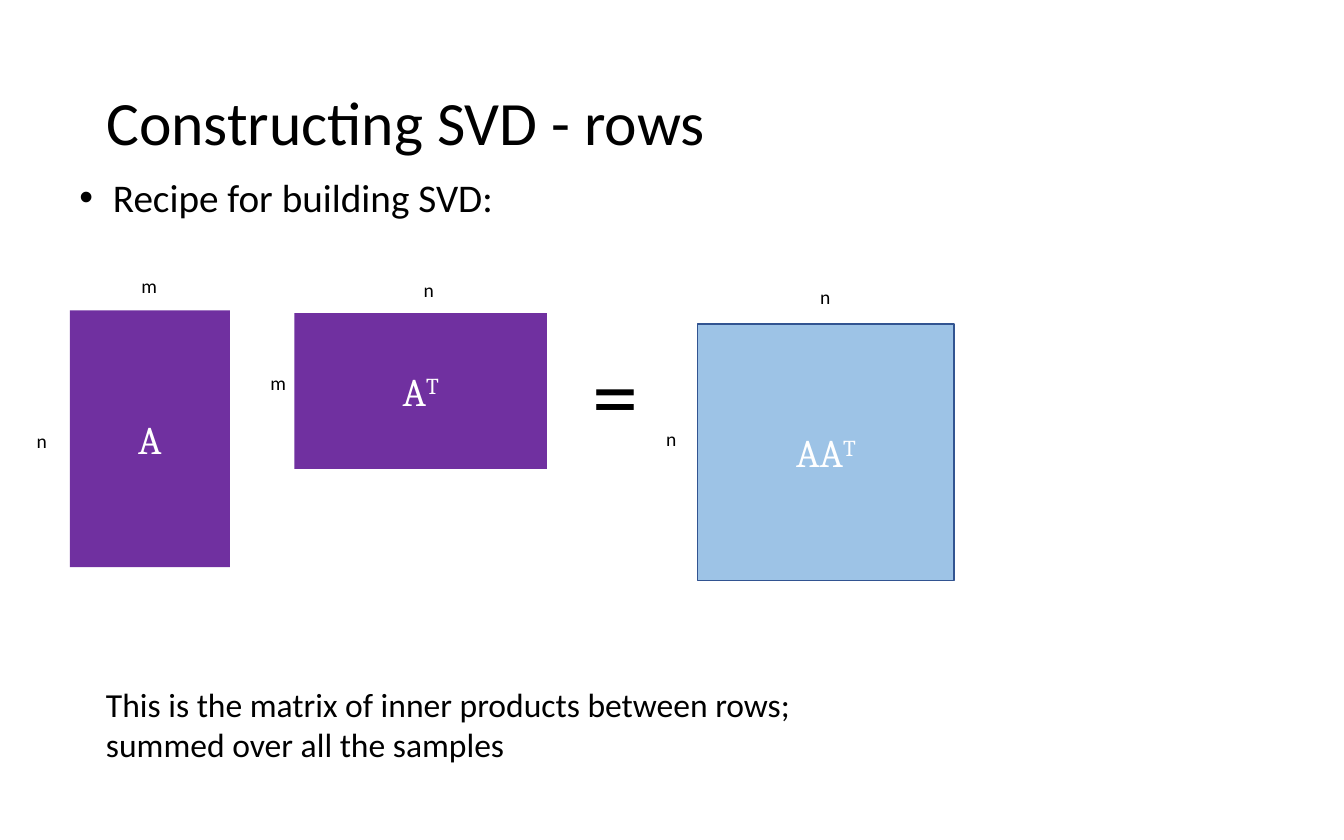
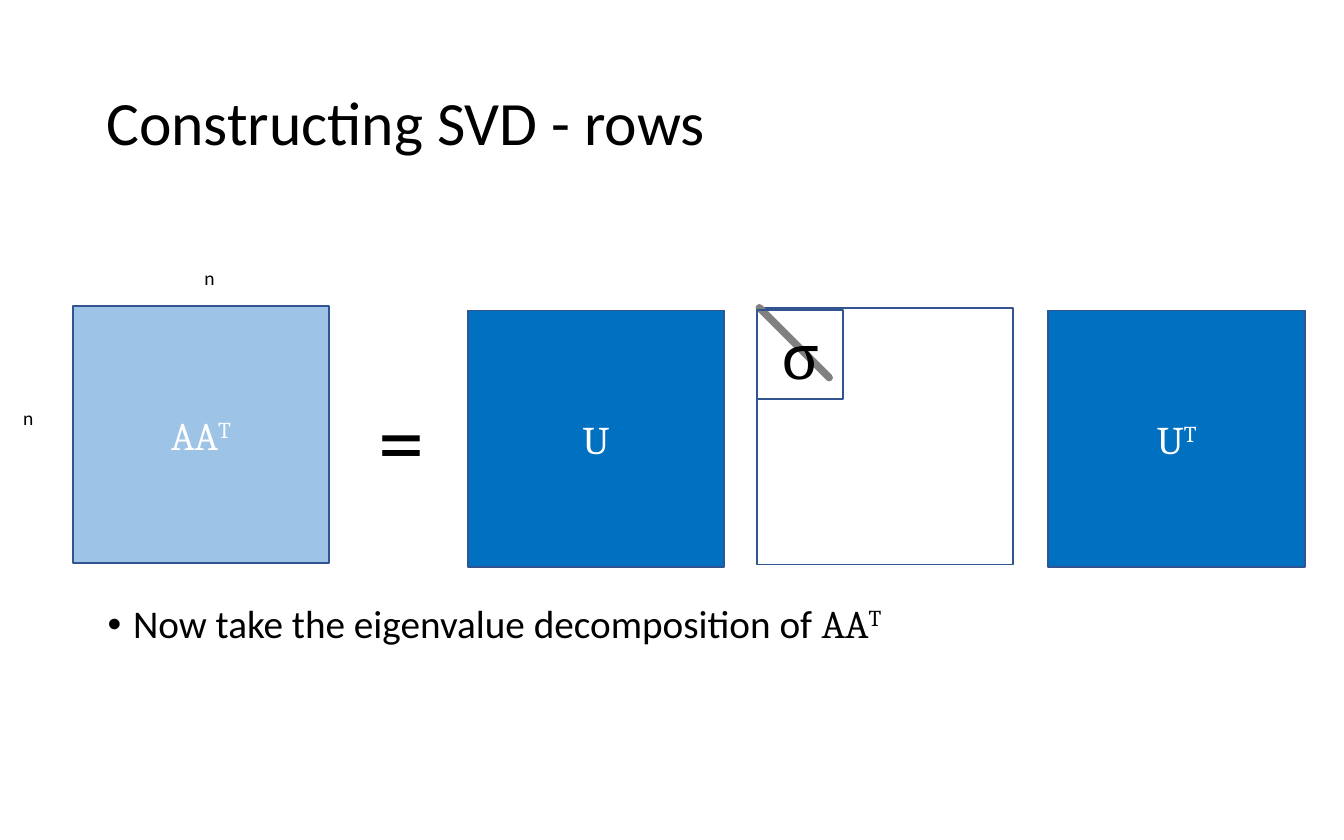
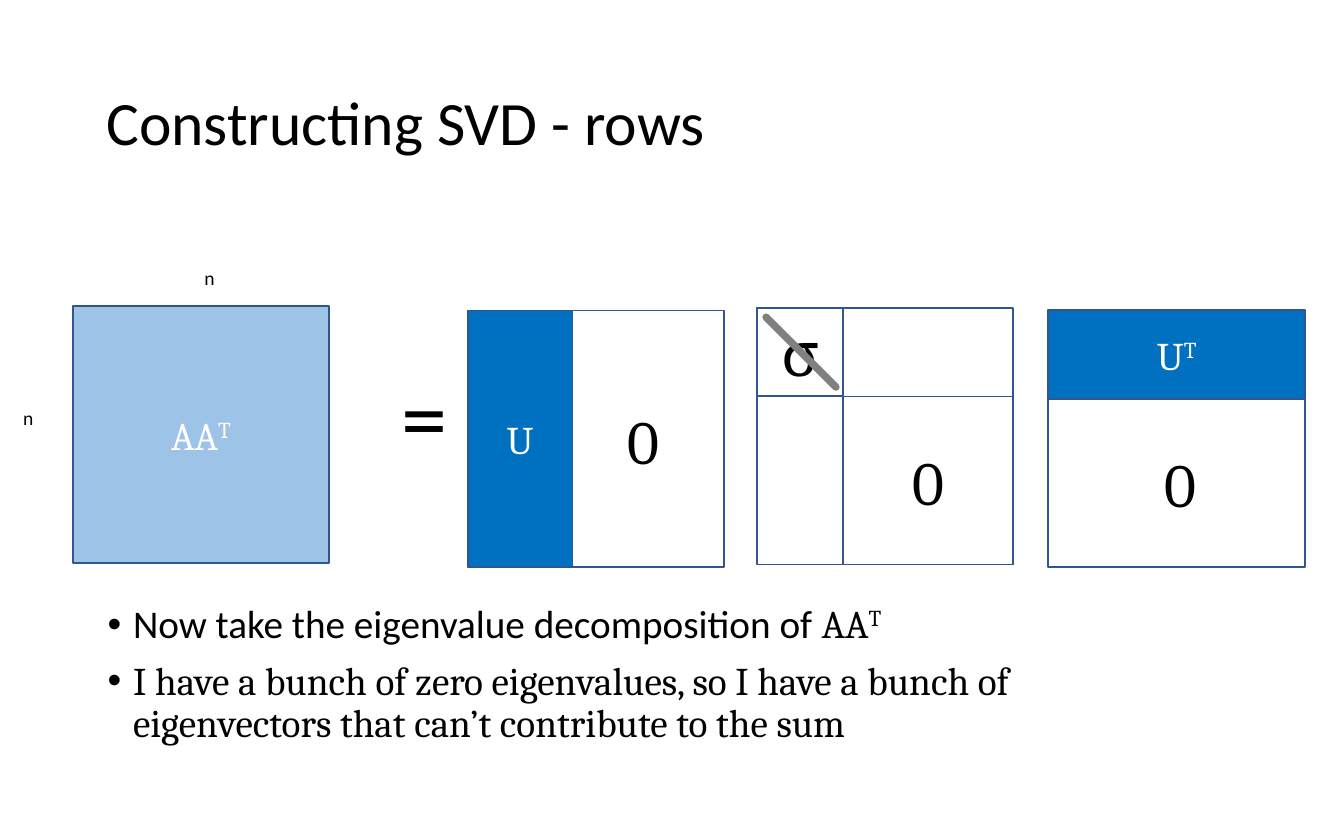
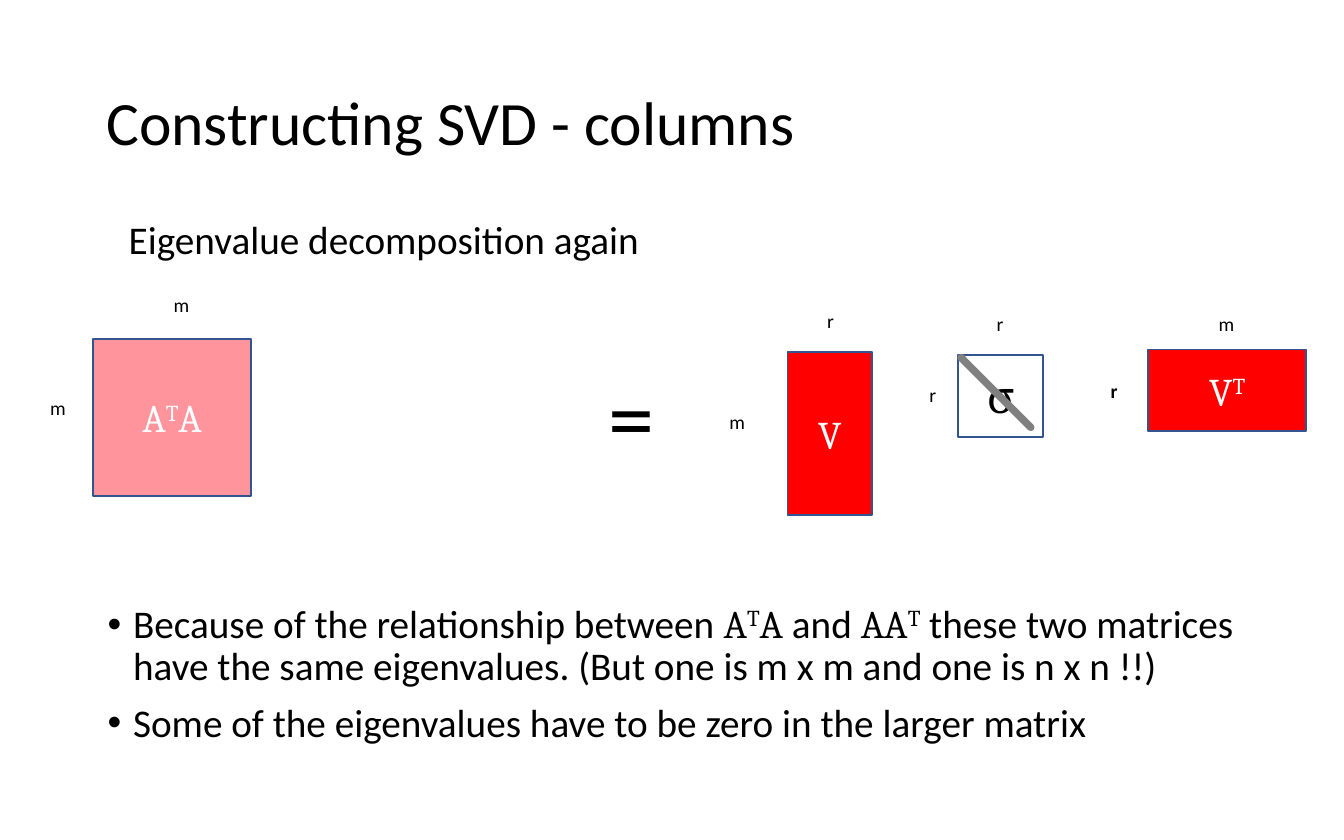
import dataclasses
import typing

import lxml.etree
import pptx
import pptx.dml.color
import pptx.enum.shapes
import pptx.enum.text
import pptx.oxml.ns
import pptx.presentation
import pptx.slide
import pptx.text.text
import pptx.util

ALIGN = pptx.enum.text.PP_ALIGN
ANCHOR = pptx.enum.text.MSO_ANCHOR
FIT = pptx.enum.text.MSO_AUTO_SIZE

WIDTH = pptx.util.Inches(10)
HEIGHT = pptx.util.Inches(6.25)
COLUMNS = 100
CELL = WIDTH // COLUMNS


@dataclasses.dataclass(frozen=True)
class Theme:
    prose: str = "Calibri"
    math: str = "Cambria"
    ink: str = "000000"
    paper: str = "FFFFFF"
    outline: str = "325491"
    diagonal: str = "808080"
    data: str = "7030A0"
    row_products: str = "9DC3E6"
    row_vectors: str = "0070C0"
    column_products: str = "FF949C"
    column_vectors: str = "FF0000"
    title_size: float = 33
    body_size: float = 21
    note_size: float = 18
    dimension_size: float = 10.5
    equals_size: float = 49.5
    value_size: float = 33
    small_value_size: float = 24


THEME = Theme()


class Span(typing.NamedTuple):
    text: str
    math: bool = False
    raised: bool = False


Spans = tuple[Span, ...]


class Area(typing.NamedTuple):
    left: float
    top: float
    width: float
    height: float


@dataclasses.dataclass(frozen=True)
class Matrix:
    area: Area
    symbol: Spans = ()
    fill: str | None = None
    outlined: bool = True
    ink: str = THEME.paper
    size: float = THEME.body_size


@dataclasses.dataclass(frozen=True)
class Caption:
    text: str
    area: Area
    size: float = THEME.dimension_size
    align: ALIGN = ALIGN.CENTER
    bold: bool = False
    wrap: bool = False


@dataclasses.dataclass(frozen=True)
class Diagonal:
    left: float
    top: float
    reach: float = 5.2


@dataclasses.dataclass(frozen=True)
class Bullets:
    points: tuple[Spans, ...]
    area: Area = Area(7, 44.5, 76.1, 13.5)
    inset: tuple[float, float] = (1, 0.5)
    indent: float = 1.9
    spacing: float = 0.9


Term = Matrix | Caption | Diagonal


@dataclasses.dataclass(frozen=True)
class Page:
    title: str
    bullets: Bullets
    equation: tuple[Term, ...]


def cells(count: float) -> int:
    return round(count * CELL)


def rgb(code: str) -> pptx.dml.color.RGBColor:
    return pptx.dml.color.RGBColor.from_string(code)


def write(
    frame: pptx.text.text.TextFrame,
    paragraphs: typing.Sequence[Spans],
    *,
    size: float,
    color: str = THEME.ink,
    align: ALIGN = ALIGN.LEFT,
    anchor: ANCHOR = ANCHOR.TOP,
    bold: bool = False,
    wrap: bool = True,
    fit: FIT = FIT.NONE,
    inset: tuple[float, float] = (1, 0.5),
    spacing: float = 1.0,
    space_before: float = 0,
    indent: float = 0,
) -> None:
    frame.word_wrap = wrap
    frame.auto_size = fit
    frame.vertical_anchor = anchor
    frame.margin_left = frame.margin_right = cells(inset[0])
    frame.margin_top = frame.margin_bottom = cells(inset[1])
    for index, spans in enumerate(paragraphs):
        paragraph = frame.add_paragraph() if index else frame.paragraphs[0]
        paragraph.alignment = align
        paragraph.line_spacing = spacing
        paragraph.space_before = pptx.util.Pt(space_before if index else 0)
        if indent:
            properties = paragraph._p.get_or_add_pPr()
            properties.set("marL", str(cells(indent)))
            properties.set("indent", str(-cells(indent)))
        for span in spans:
            run = paragraph.add_run()
            run.text = span.text
            run.font.name = THEME.math if span.math else THEME.prose
            run.font.size = pptx.util.Pt(size)
            run.font.bold = bold
            run.font.color.rgb = rgb(color)
            if span.raised:
                run._r.get_or_add_rPr().set("baseline", "30000")


def place(holder: typing.Any, area: Area) -> None:
    holder.left, holder.top, holder.width, holder.height = map(cells, area)


def draw_matrix(slide: pptx.slide.Slide, matrix: Matrix) -> None:
    block = slide.shapes.add_shape(
        pptx.enum.shapes.MSO_SHAPE.RECTANGLE, *map(cells, matrix.area)
    )
    block.shadow.inherit = False
    if matrix.fill:
        block.fill.solid()
        block.fill.fore_color.rgb = rgb(matrix.fill)
    else:
        block.fill.background()
    if matrix.outlined:
        block.line.color.rgb = rgb(THEME.outline)
        block.line.width = pptx.util.Pt(1)
    else:
        block.line.fill.background()
    if matrix.symbol:
        write(
            block.text_frame, [matrix.symbol], size=matrix.size, color=matrix.ink,
            align=ALIGN.CENTER, anchor=ANCHOR.MIDDLE,
        )


def draw_caption(slide: pptx.slide.Slide, caption: Caption) -> None:
    holder = slide.shapes.add_textbox(*map(cells, caption.area))
    write(
        holder.text_frame, [(Span(caption.text),)], size=caption.size,
        align=caption.align, bold=caption.bold, wrap=caption.wrap,
        fit=FIT.SHAPE_TO_FIT_TEXT,
    )


def draw_diagonal(slide: pptx.slide.Slide, diagonal: Diagonal) -> None:
    stroke = slide.shapes.add_connector(
        pptx.enum.shapes.MSO_CONNECTOR.STRAIGHT,
        cells(diagonal.left),
        cells(diagonal.top),
        cells(diagonal.left + diagonal.reach),
        cells(diagonal.top + diagonal.reach),
    )
    stroke.line.color.rgb = rgb(THEME.diagonal)
    stroke.line.width = pptx.util.Pt(4)
    stroke.line._get_or_add_ln().set("cap", "rnd")
    lxml.etree.SubElement(stroke._element.spPr, pptx.oxml.ns.qn("a:effectLst"))


DRAW: dict[type, typing.Callable[[pptx.slide.Slide, typing.Any], None]] = {
    Matrix: draw_matrix,
    Caption: draw_caption,
    Diagonal: draw_diagonal,
}


def draw_page(deck: pptx.presentation.Presentation, page: Page) -> None:
    slide = deck.slides.add_slide(deck.slide_layouts[1])
    heading, body = slide.placeholders
    place(heading, Area(6.9, 3.3, 86.2, 12.1))
    write(
        heading.text_frame, [(Span(page.title),)], size=THEME.title_size,
        anchor=ANCHOR.MIDDLE, spacing=0.9,
    )
    bullets = page.bullets
    place(body, bullets.area)
    write(
        body.text_frame, bullets.points, size=THEME.body_size, inset=bullets.inset,
        spacing=bullets.spacing, space_before=7.5, indent=bullets.indent,
    )
    for term in page.equation:
        DRAW[type(term)](slide, term)


def dimension(text: str, left: float, top: float, width: float = 3, bold: bool = False) -> Caption:
    return Caption(text, Area(left, top, width, 2.8), bold=bold)


def equals(left: float, top: float) -> Caption:
    return Caption("=", Area(left, top, 5.5, 9.3), THEME.equals_size, ALIGN.LEFT)


def square(left: float, top: float, symbol: Spans = (), fill: str | None = None) -> Matrix:
    return Matrix(Area(left, top, SIDE, SIDE), symbol, fill)


def value(
    symbol: Spans, area: Area, fill: str | None = THEME.paper,
    outlined: bool = True, size: float = THEME.value_size,
) -> Matrix:
    return Matrix(area, symbol, fill, outlined, THEME.ink, size)


def math(letters: str) -> Spans:
    return (Span(letters, math=True),)


SIDE = 19.1
RANK_WIDTH, RANK_HEIGHT = 6.4, 6.6
U_LEFT, SIGMA_LEFT, UT_LEFT = 34.8, 56.3, 78
U_TOP, SIGMA_TOP = 23.1, 22.9

TRANSPOSE: Spans = (Span("T", math=True, raised=True),)
A, U, V, SIGMA, ZERO = map(math, ("A", "U", "V", "σ", "0"))
AT, UT, VT = A + TRANSPOSE, U + TRANSPOSE, V + TRANSPOSE
AAT, ATA = math("AA") + TRANSPOSE, AT + A

DECOMPOSE = (Span("Now take the eigenvalue decomposition of "),) + AAT
ROW_PRODUCTS = (
    dimension("n", 0.7, 29.7, 2.8),
    dimension("n", 12.3, 19.3, 6.6),
    square(5.4, 22.8, AAT, THEME.row_products),
)

PAGES = (
    Page(
        "Constructing SVD - rows",
        Bullets(
            ((Span("Recipe for building SVD:"),),),
            Area(5.2, 13.2, 76.1, 3.9), (0.7, 0.4), 2.5, 0.8,
        ),
        (
            Matrix(Area(5.2, 23.1, 11.9, SIDE), A, THEME.data, False),
            dimension("m", 9.5, 19.9, 3.2),
            dimension("n", 1.7, 31.4, 2.8),
            dimension("m", 19.1, 27.1, 3.2),
            Matrix(Area(21.9, 23.3, 18.8, 11.6), AT, THEME.data, False),
            square(51.9, 24.1, AAT, THEME.row_products),
            dimension("n", 59.9, 20.7),
            dimension("n", 48.1, 31.3, 3.7),
            dimension("n", 30.5, 20.2, 2.8),
            equals(43.1, 24.6),
            Caption(
                "This is the matrix of inner products between rows; "
                "summed over all the samples",
                Area(6.9, 50.4, 56.1, 7.1), THEME.note_size, ALIGN.LEFT, wrap=True,
            ),
        ),
    ),
    Page(
        "Constructing SVD - rows",
        Bullets((DECOMPOSE,)),
        ROW_PRODUCTS + (
            equals(27.2, 28),
            square(SIGMA_LEFT, SIGMA_TOP, fill=THEME.paper),
            square(UT_LEFT, U_TOP, UT, THEME.row_vectors),
            square(U_LEFT, U_TOP, U, THEME.row_vectors),
            Diagonal(56.5, SIGMA_TOP),
            value(SIGMA, Area(SIGMA_LEFT, U_TOP, RANK_WIDTH, RANK_HEIGHT), fill=None),
        ),
    ),
    Page(
        "Constructing SVD - rows",
        Bullets((
            DECOMPOSE,
            math(
                "I have a bunch of zero eigenvalues, so I have a bunch of "
                "eigenvectors that can’t contribute to the sum"
            ),
        )),
        ROW_PRODUCTS + (
            equals(28.9, 26.2),
            square(SIGMA_LEFT, SIGMA_TOP, fill=THEME.paper),
            square(UT_LEFT, U_TOP),
            square(U_LEFT, U_TOP),
            Matrix(Area(U_LEFT, U_TOP, 7.8, SIDE), U, THEME.row_vectors),
            value(SIGMA, Area(SIGMA_LEFT, SIGMA_TOP, RANK_WIDTH, RANK_HEIGHT)),
            Diagonal(57, 23.6),
            Matrix(Area(UT_LEFT, U_TOP, SIDE, RANK_HEIGHT), UT, THEME.row_vectors),
            value(ZERO, Area(
                SIGMA_LEFT + RANK_WIDTH, SIGMA_TOP + RANK_HEIGHT,
                SIDE - RANK_WIDTH, SIDE - RANK_HEIGHT,
            )),
            value(ZERO, Area(82.5, 31.9, 10.6, 8.1), outlined=False),
            value(ZERO, Area(44.8, 28.6, 6.1, 8.3), outlined=False),
        ),
    ),
    Page(
        "Constructing SVD - columns",
        Bullets(
            (
                (Span("Because of the relationship between "),) + ATA
                + (Span(" and "),) + AAT
                + (Span(
                    " these two matrices have the same eigenvalues. "
                    "(But one is m x m and one is n x n !!)"
                ),),
                (Span("Some of the eigenvalues have to be zero in the larger matrix"),),
            ),
            Area(7, 44.5, 90.2, 13.5),
        ),
        (
            dimension("m", 11.9, 21.3, 3.2),
            dimension("m", 2.7, 29, 3.2),
            Matrix(Area(6.9, 25.2, 11.8, 11.7), ATA, THEME.column_products),
            dimension("r", 60.3, 22.5),
            dimension("m", 53, 30, 3.7),
            equals(44.3, 26.2),
            Matrix(Area(58.6, 26.2, 6.3, 12.1), V, THEME.column_vectors),
            Matrix(Area(85.4, 26, 11.8, 6.1), VT, THEME.column_vectors),
            value(SIGMA, Area(71.3, 26.4, 6.3, 6.1), size=THEME.small_value_size),
            Caption(
                "Eigenvalue decomposition again", Area(8.6, 15.5, 40.4, 4.5),
                THEME.body_size, ALIGN.LEFT,
            ),
            Diagonal(71.5, 26.6),
            dimension("r", 72.9, 22.7),
            dimension("r", 67.9, 28),
            dimension("r", 81.4, 27.7, bold=True),
            dimension("m", 89.4, 22.7, 3.7),
        ),
    ),
)


def main() -> None:
    deck = pptx.Presentation()
    deck.slide_width, deck.slide_height = WIDTH, HEIGHT
    for page in PAGES:
        draw_page(deck, page)
    deck.save("out.pptx")


if __name__ == "__main__":
    main()
